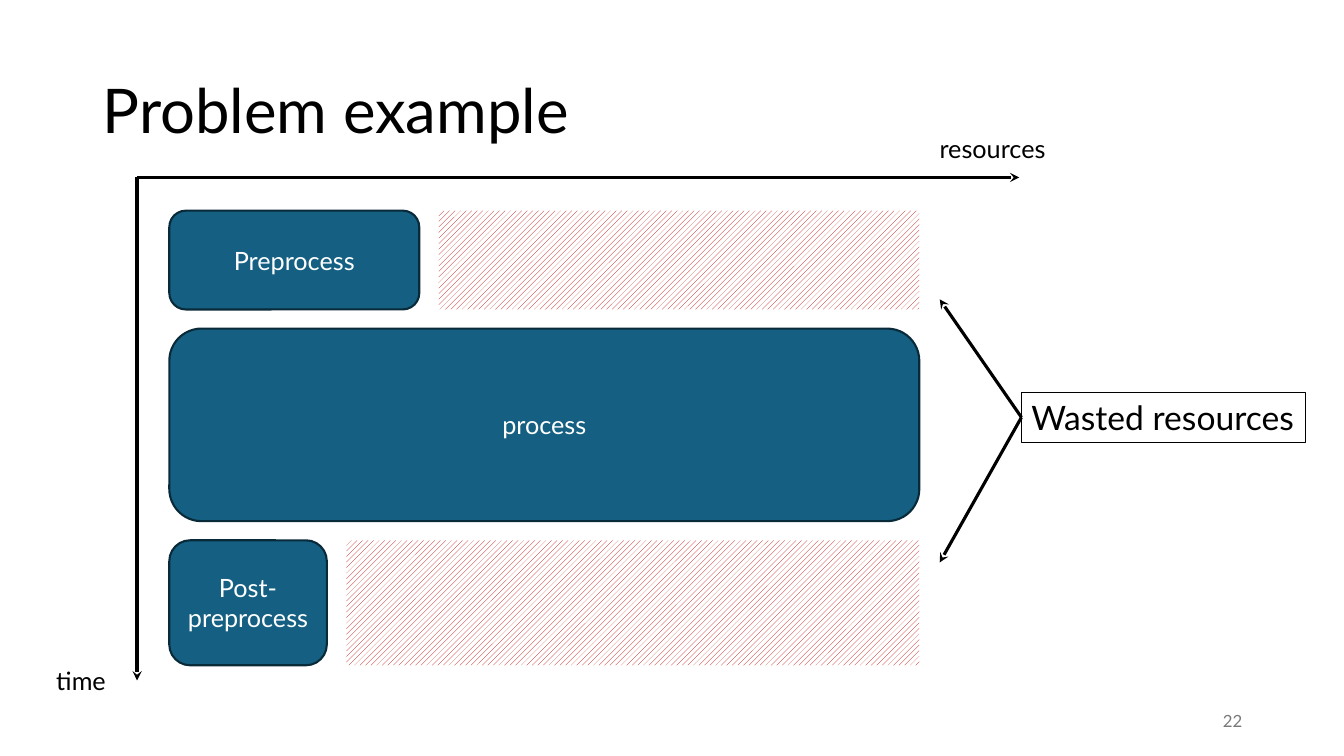
from typing import NamedTuple

from lxml import etree
from pptx import Presentation
from pptx import util as u
from pptx.dml.color import RGBColor
from pptx.enum import dml, shapes, text
from pptx.oxml import ns

COLOURS = {
    "ink": "000000",
    "paper": "FFFFFF",
    "stage": "156082",
    "stage_edge": "092A39",
    "waste": "C00000",
    "number": "797979",
}
FONT = "Lato"
WIDTH, HEIGHT = u.Inches(13.33), u.Inches(7.5)

# The grid has 100 columns and 100 rows.
STAGE_LEFT, STAGE_TOP, STAGE_WIDTH = 12.6, 27.87, 55.8
COLUMN_GAP, ROW_GAP = 1.45, 2.53
AXIS_ORIGIN = (10.2, 23.47)
AXIS_ENDS = [(10.2, 90), (75.84, 23.47)]
WASTE_POINTS = [(69.92, 39.6), (69.92, 74.4)]


class Area(NamedTuple):
    left: float
    top: float
    width: float
    height: float


class Stage(NamedTuple):
    label: str
    share: float
    rows: float


class Label(NamedTuple):
    words: str
    area: Area
    size: float
    colour: str = "ink"
    align: text.PP_ALIGN = text.PP_ALIGN.LEFT
    anchor: text.MSO_ANCHOR = text.MSO_ANCHOR.TOP
    wrap: bool = False
    line_spacing: float = 1.0


STAGES = [
    Stage("Preprocess", 1 / 3, 13.07),
    Stage("process", 1, 25.47),
    Stage("Post-preprocess", 0.21, 16.53),
]
LABELS = [
    Label("Problem example", Area(6.9, 5.33, 86.27, 19.33), 44,
          anchor=text.MSO_ANCHOR.MIDDLE, wrap=True, line_spacing=0.9),
    Label("22", Area(70.67, 92.67, 22.5, 5.33), 12, "number",
          text.PP_ALIGN.RIGHT, text.MSO_ANCHOR.MIDDLE, True),
    Label("time", Area(3.45, 87.33, 5.18, 5.33), 18),
    Label("resources", Area(69.17, 16.93, 9.68, 5.33), 18),
]
WASTE_LABEL = Label("Wasted resources", Area(76, 51.87, 21.16, 6.67), 24)


def colour(name: str) -> RGBColor:
    return RGBColor.from_string(COLOURS[name])


def point(column: float, row: float) -> tuple[int, int]:
    """Turn a grid position into slide lengths."""
    return round(WIDTH * column / 100), round(HEIGHT * row / 100)


def place(area: Area) -> tuple[int, int, int, int]:
    return point(area.left, area.top) + point(area.width, area.height)


def write(box, label: Label) -> None:
    frame = box.text_frame
    frame.text = label.words
    frame.word_wrap = label.wrap
    frame.vertical_anchor = label.anchor
    if not label.wrap:
        frame.auto_size = text.MSO_AUTO_SIZE.SHAPE_TO_FIT_TEXT
    para = frame.paragraphs[0]
    para.alignment = label.align
    para.line_spacing = label.line_spacing
    span = para.runs[0]
    span.font.name = FONT
    span.font.size = u.Pt(label.size)
    span.font.color.rgb = colour(label.colour)


def add_label(page, label: Label):
    box = page.shapes.add_textbox(*place(label.area))
    write(box, label)
    return box


def add_stage(page, label: str, area: Area) -> None:
    box = page.shapes.add_shape(shapes.MSO_SHAPE.ROUNDED_RECTANGLE, *place(area))
    box.shadow.inherit = False
    box.fill.solid()
    box.fill.fore_color.rgb = colour("stage")
    box.line.color.rgb = colour("stage_edge")
    box.line.width = u.Pt(1.5)
    write(box, Label(label, area, 18, "paper", text.PP_ALIGN.CENTER,
                     text.MSO_ANCHOR.MIDDLE, True))


def add_waste(page, area: Area) -> None:
    box = page.shapes.add_shape(shapes.MSO_SHAPE.RECTANGLE, *place(area))
    box.shadow.inherit = False
    box.fill.patterned()
    box.fill.pattern = dml.MSO_PATTERN.WIDE_UPWARD_DIAGONAL
    box.fill.fore_color.rgb = colour("waste")
    box.fill.back_color.rgb = colour("paper")
    box.line.fill.background()


def add_arrow(page, start: tuple[float, float], end: tuple[float, float]):
    arrow = page.shapes.add_connector(
        shapes.MSO_CONNECTOR.STRAIGHT, *point(*start), *point(*end))
    arrow.line.color.rgb = colour("ink")
    arrow.line.width = u.Pt(2.25)
    etree.SubElement(arrow.line._get_or_add_ln(), ns.qn("a:tailEnd"), type="stealth")
    etree.SubElement(arrow._element.spPr, ns.qn("a:effectLst"))
    return arrow


def add_stages(page) -> None:
    """Stack the stages and hatch the unused part of each row."""
    top = STAGE_TOP
    for stage in STAGES:
        used = STAGE_WIDTH * stage.share
        add_stage(page, stage.label, Area(STAGE_LEFT, top, used, stage.rows))
        if stage.share < 1:
            skipped = used + COLUMN_GAP
            add_waste(page, Area(STAGE_LEFT + skipped, top,
                                 STAGE_WIDTH - skipped, stage.rows))
        top += stage.rows + ROW_GAP


def add_waste_callout(page) -> None:
    box = add_label(page, WASTE_LABEL)
    box.fill.solid()
    box.fill.fore_color.rgb = colour("paper")
    box.line.color.rgb = colour("ink")
    box.line.width = u.Pt(0.75)
    area = WASTE_LABEL.area
    for end in WASTE_POINTS:
        arrow = add_arrow(page, (area.left, area.top + area.height / 2), end)
        arrow.begin_connect(box, 1)


def main() -> None:
    deck = Presentation()
    deck.slide_width, deck.slide_height = WIDTH, HEIGHT
    page = deck.slides.add_slide(deck.slide_layouts[6])
    for label in LABELS:
        add_label(page, label)
    for end in AXIS_ENDS:
        add_arrow(page, AXIS_ORIGIN, end)
    add_stages(page)
    add_waste_callout(page)
    deck.save("out.pptx")


if __name__ == "__main__":
    main()
